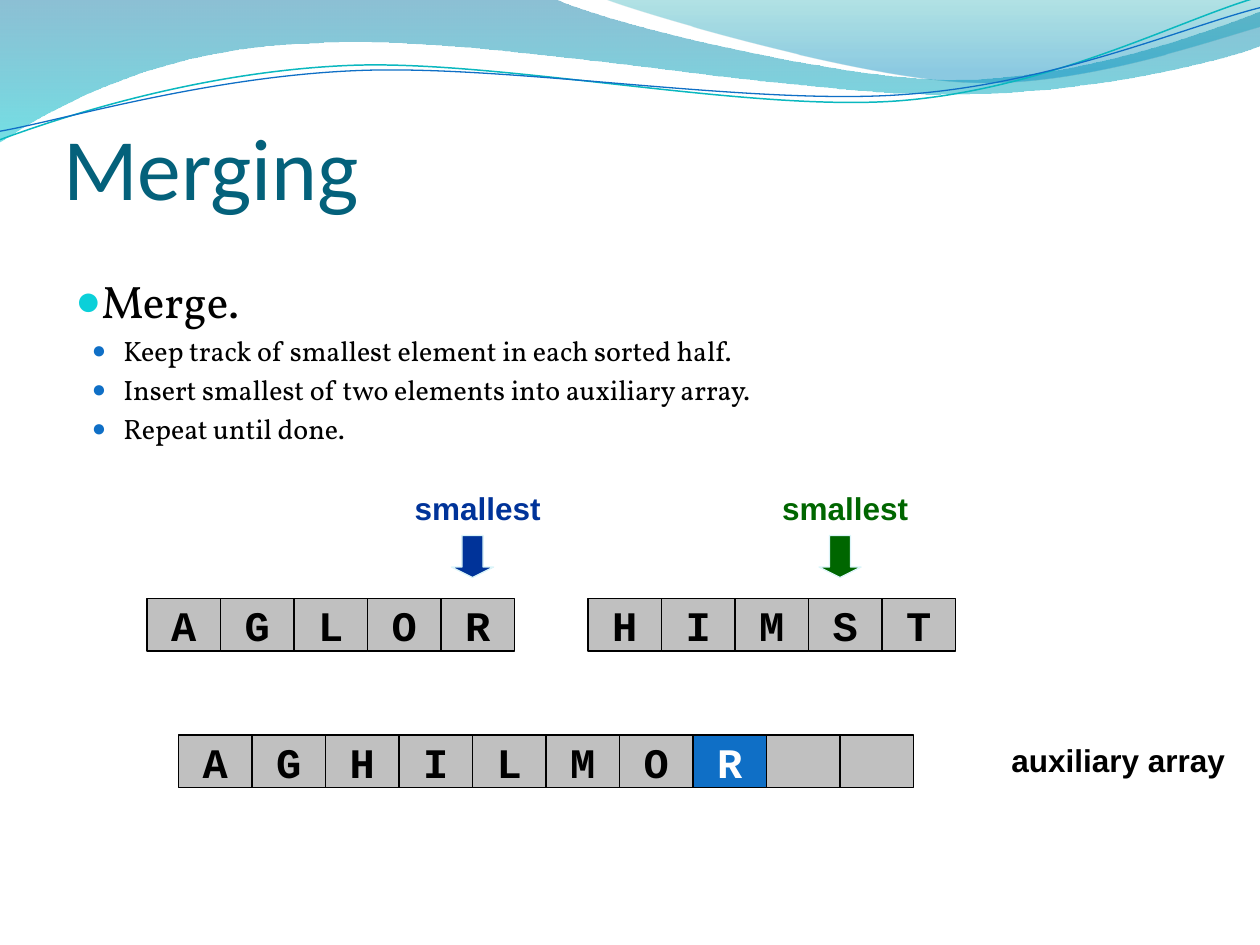
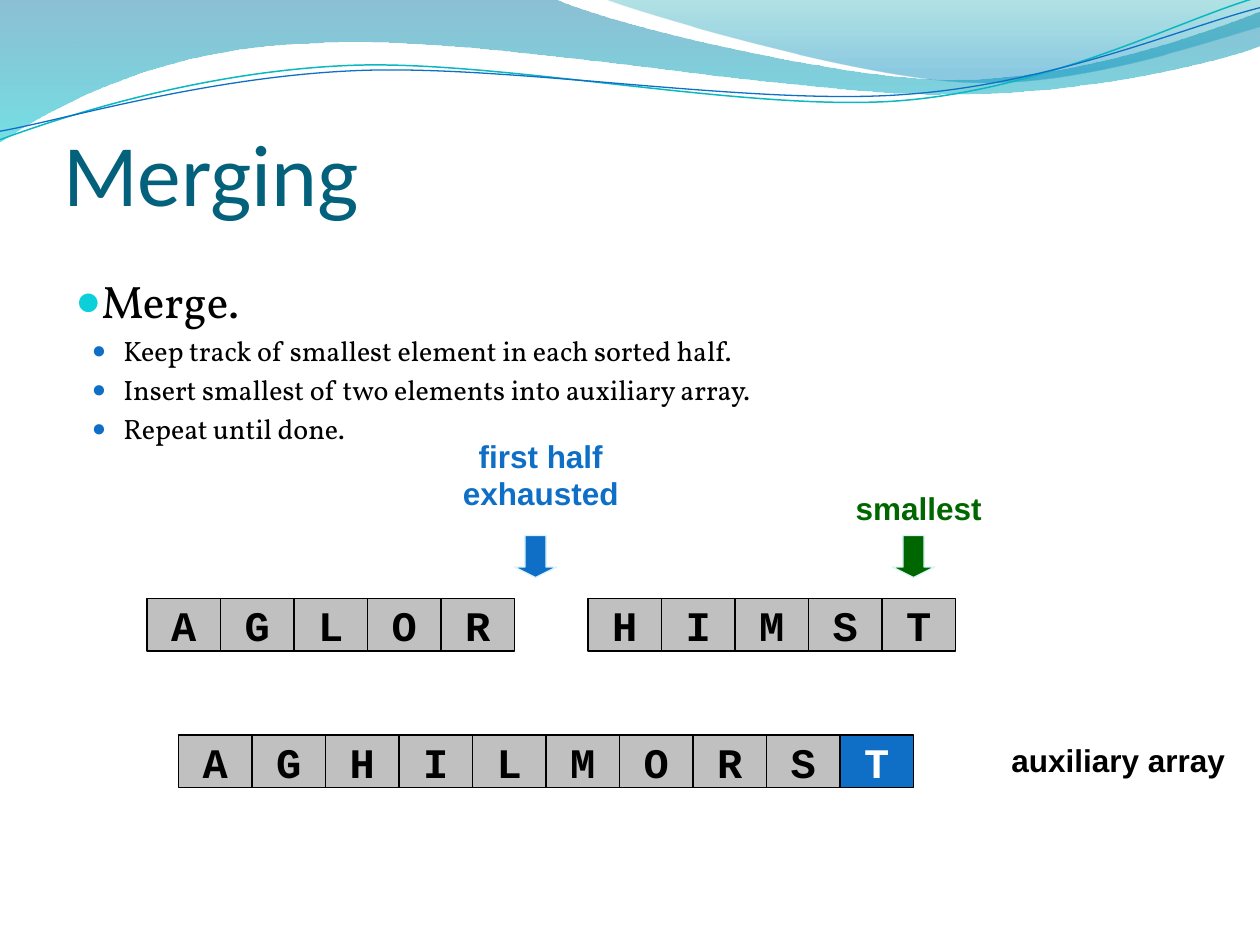
"""Build two slides that show the last steps of merging two sorted halves."""
from dataclasses import dataclass

from lxml.etree import SubElement
from pptx import Presentation
from pptx.dml.color import RGBColor
from pptx.enum.shapes import MSO_SHAPE as Preset
from pptx.enum.text import MSO_ANCHOR as Anchor, MSO_AUTO_SIZE as AutoSize, PP_ALIGN as Align
from pptx.oxml.ns import qn
from pptx.util import Pt


@dataclass(frozen=True)
class Theme:
    title: str = "04617B"
    text: str = "000000"
    light: str = "FFFFFF"
    cell: str = "C0C0C0"
    accent: str = "0F6FC6"
    bullet: str = "0BD0D9"
    teal: str = "0AB8BF"
    first: str = "003399"
    second: str = "006600"
    arrow_edge: str = "DBF5F9"
    title_font: str = "Calibri"
    body_font: str = "Vollkorn"
    label_font: str = "Arial"
    cell_font: str = "Courier New"
    title_size: int = 50
    lead_size: int = 26
    point_size: int = 16
    label_size: int = 18
    cell_size: int = 24


theme = Theme()


def add_run(para, text, font, size, color, bold=False):
    span = para.add_run()
    span.text = text
    span.font.name = font
    span.font.size = Pt(size)
    span.font.bold = bold
    span.font.color.rgb = RGBColor.from_string(color)


def add_curve(page, start, segments, close):
    points = [(Pt(x), Pt(y)) for segment in segments for x, y in zip(segment[::2], segment[1::2])]
    builder = page.shapes.build_freeform(Pt(start[0]), Pt(start[1]), scale=1.0)
    builder.add_line_segments(points, close=close)
    curve = builder.convert_to_shape()
    curve.shadow.inherit = False
    lines = iter(list(curve.element.iter(qn("a:lnTo"))))
    for segment in segments:
        line = next(lines)
        if len(segment) == 6:
            bezier = line.getparent().makeelement(qn("a:cubicBezTo"))
            line.addprevious(bezier)
            for vertex in (line, next(lines), next(lines)):
                bezier.append(vertex[0])
                vertex.getparent().remove(vertex)
    return curve


WAVES = [
    ((0, 0), [(316.8, -0.7), (342.7, 12.2, 478.1, 45.4, 545.8, 45.4),
              (614.2, 45.4, 689.8, 18.7, 720, 6.5), (720.7, 25.9),
              (707.8, 31.7, 626.4, 54.7, 537.1, 54), (447.8, 54, 275, 20.2, 185, 24.5),
              (92.9, 25.9, 33.1, 59.8, -0.7, 81.4), (0, 0)],
     [(0, "0074A1", 45), (1, "00C6CF", 55)]),
    ((344.9, -0.7), [(366.5, 7.9, 491, 44.6, 553.7, 46.8),
                     (616.3, 49.7, 691.9, 23, 720, 15.1), (720, 0), (344.9, -0.7)],
     [(0, "00A1A9", 30), (0.8, "008BBF", 45)]),
]
STRANDS = [
    ((-1.4, 62.9), [(33.8, 51.7, 114.1, 29.4, 199.8, 29.9), (284.9, 30.3, 425.8, 67.3, 512.4, 64.9),
                    (599, 62.4, 676.5, 25.7, 720.2, 15.5)], theme.teal, 0.85),
    ((-1.1, 58), [(32.9, 53.8, 118.3, 32.5, 204.1, 33), (290.6, 33.4, 428.9, 63.8, 515.5, 61.4),
                  (601.3, 59.6, 678.5, 30.1, 721.4, 21.4)], theme.accent, 0.75),
]
STRAND_ROTATION = 357.3
POINTS = [
    "Keep track of smallest element in each sorted half.",
    "Insert smallest of two elements into auxiliary array.",
    "Repeat until done.",
]
HALVES = [("AGLOR", 84, 342), ("HIMST", 336, 342)]
CELL_WIDTH, CELL_HEIGHT = 42, 30
ARROW_TOP, ARROW_SIZE, ARROW_INDENT = 306, 24, 60
MARKER_WIDTH, LINE_HEIGHT = 150, 21.6
AUXILIARY_LEFT, AUXILIARY_TOP = 102, 420

PAGES = [
    {"title_top": 34.5, "merged": "AGHILMOR", "markers": [
        (["smallest"], 198, 276, theme.first), (["smallest"], 408, 276, theme.second)]},
    {"title_top": 38, "merged": "AGHILMORST", "markers": [
        (["first half", "exhausted"], 234, 246, theme.accent),
        (["smallest"], 450, 276, theme.second)]},
]

deck = Presentation()
deck.slide_width, deck.slide_height = Pt(720), Pt(540)
layout = deck.slide_layouts[5]
pages = [deck.slides.add_slide(layout) for content in PAGES]

bands = []
for start, segments, stops in WAVES:
    wave = add_curve(pages[0], start, segments, close=True)
    wave.line.fill.background()
    wave.fill.gradient()
    wave.fill.gradient_angle = 270
    for stop, (position, color, opacity) in zip(wave.fill.gradient_stops, stops):
        stop.position = position
        stop.color.rgb = RGBColor.from_string(color)
    for tint, (position, color, opacity) in zip(wave.element.iter(qn("a:srgbClr")), stops):
        SubElement(tint, qn("a:alpha")).set("val", str(opacity * 1000))
    bands.append(wave)

for start, segments, color, weight in STRANDS:
    strand = add_curve(pages[0], start, segments, close=False)
    strand.rotation = STRAND_ROTATION
    strand.fill.background()
    strand.line.color.rgb = RGBColor.from_string(color)
    strand.line.width = Pt(weight)
    bands.append(strand)

for number, band in enumerate(bands, start=101):
    next(band.element.iter(qn("p:cNvPr"))).set("id", str(number))
    layout.shapes.element.append(band.element)

for page, content in zip(pages, PAGES):
    title = page.shapes.title
    title.left, title.top = Pt(36), Pt(content["title_top"])
    title.width, title.height = Pt(648), Pt(90)
    frame = title.text_frame
    frame.auto_size = AutoSize.NONE
    frame.vertical_anchor = Anchor.BOTTOM
    frame.margin_left = frame.margin_right = frame.margin_bottom = Pt(0)
    frame.margin_top = Pt(3.6)
    frame.paragraphs[0].alignment = Align.LEFT
    add_run(frame.paragraphs[0], "Merging", theme.title_font, theme.title_size, theme.title)

    body = page.shapes.add_textbox(Pt(36), Pt(152.6), Pt(648), Pt(345.6)).text_frame
    body.word_wrap = True
    for index, text in enumerate(["Merge.", *POINTS]):
        lead = index == 0
        para = body.paragraphs[0] if lead else body.add_paragraph()
        properties = para._p.get_or_add_pPr()
        properties.set("marL", str(Pt(0 if lead else 27.4)))
        properties.set("indent", str(Pt(0 if lead else -18)))
        tint = SubElement(properties, qn("a:buClr"))
        SubElement(tint, qn("a:srgbClr")).set("val", theme.bullet if lead else theme.accent)
        SubElement(properties, qn("a:buSzPct")).set("val", "95000" if lead else "85000")
        SubElement(properties, qn("a:buFont")).set("typeface", theme.label_font)
        SubElement(properties, qn("a:buChar")).set("char", "●")
        if not lead:
            para.level = 1
            para.space_before = Pt(3.2)
        size = theme.lead_size if lead else theme.point_size
        add_run(para, text, theme.body_font, size, theme.text)

    labels = [(["auxiliary array"], 570, AUXILIARY_TOP, 138, theme.text)]
    for lines, left, top, color in content["markers"]:
        labels.append((lines, left, top, MARKER_WIDTH, color))
        arrow = page.shapes.add_shape(Preset.DOWN_ARROW, Pt(left + ARROW_INDENT), Pt(ARROW_TOP),
                                      Pt(ARROW_SIZE), Pt(ARROW_SIZE))
        arrow.shadow.inherit = False
        arrow.adjustments[0], arrow.adjustments[1] = 0.5, 0.25
        arrow.fill.solid()
        arrow.fill.fore_color.rgb = RGBColor.from_string(color)
        arrow.line.color.rgb = RGBColor.from_string(theme.arrow_edge)
        arrow.line.width = Pt(0.75)

    for lines, left, top, width, color in labels:
        height = 7.2 + LINE_HEIGHT * len(lines)
        label = page.shapes.add_textbox(Pt(left), Pt(top), Pt(width), Pt(height)).text_frame
        label.word_wrap = True
        label.auto_size = AutoSize.SHAPE_TO_FIT_TEXT
        para = label.paragraphs[0]
        para.alignment = Align.CENTER
        for index, line in enumerate(lines):
            if index:
                para.add_line_break()
            add_run(para, line, theme.label_font, theme.label_size, color, bold=True)

    merged = content["merged"]
    auxiliary = (merged.ljust(10), AUXILIARY_LEFT, AUXILIARY_TOP)
    for letters, left, top in [*HALVES, auxiliary]:
        for index, letter in enumerate(letters):
            newest = top == AUXILIARY_TOP and index == len(merged) - 1
            box = page.shapes.add_shape(Preset.RECTANGLE, Pt(left + index * CELL_WIDTH), Pt(top),
                                        Pt(CELL_WIDTH), Pt(CELL_HEIGHT))
            box.shadow.inherit = False
            box.fill.solid()
            box.fill.fore_color.rgb = RGBColor.from_string(theme.accent if newest else theme.cell)
            box.line.color.rgb = RGBColor.from_string(theme.text)
            box.line.width = Pt(0.75)
            if letter.strip():
                frame = box.text_frame
                frame.word_wrap = False
                frame.vertical_anchor = Anchor.MIDDLE
                frame.paragraphs[0].alignment = Align.CENTER
                add_run(frame.paragraphs[0], letter, theme.cell_font, theme.cell_size,
                        theme.light if newest else theme.text, bold=True)

deck.save("out.pptx")
